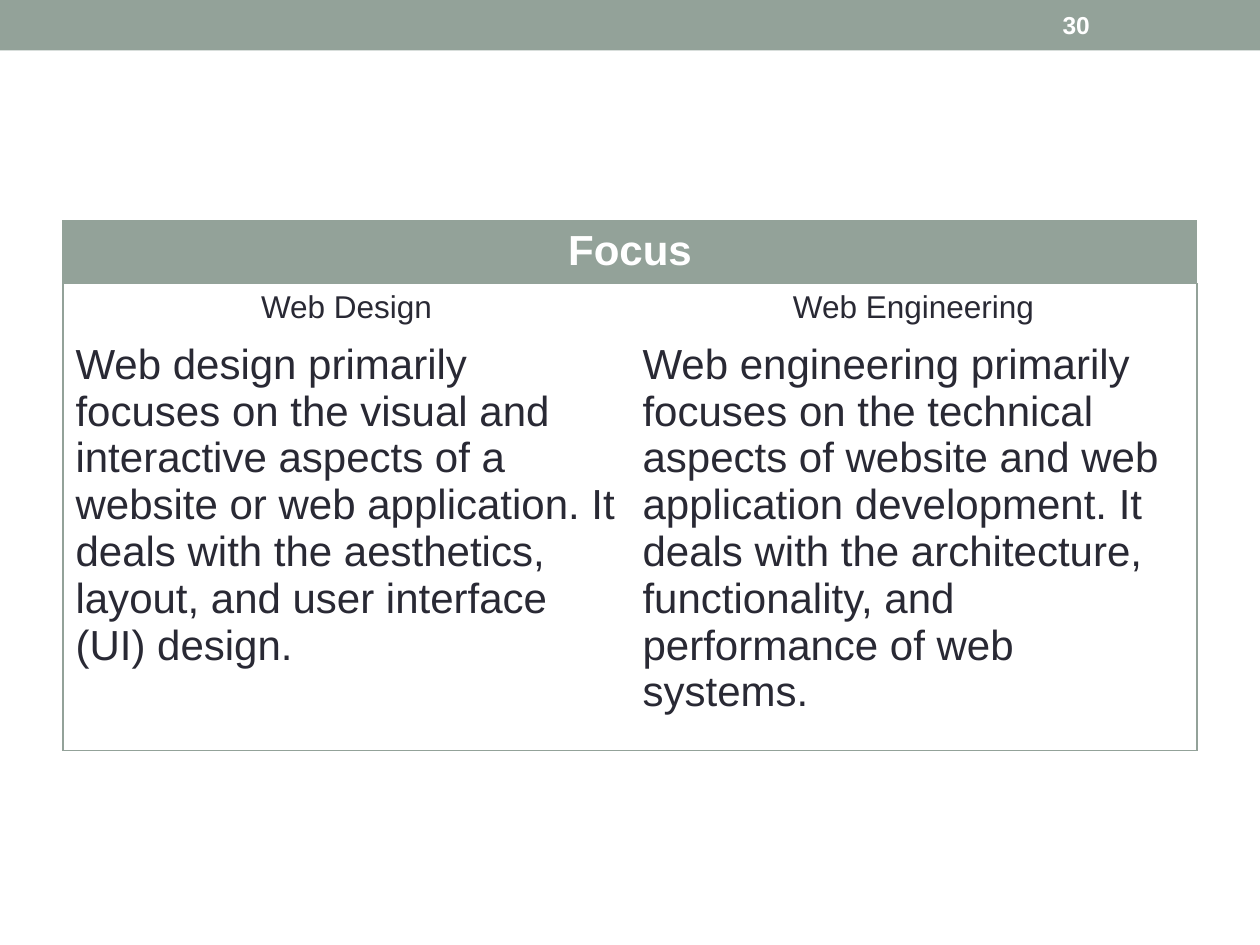
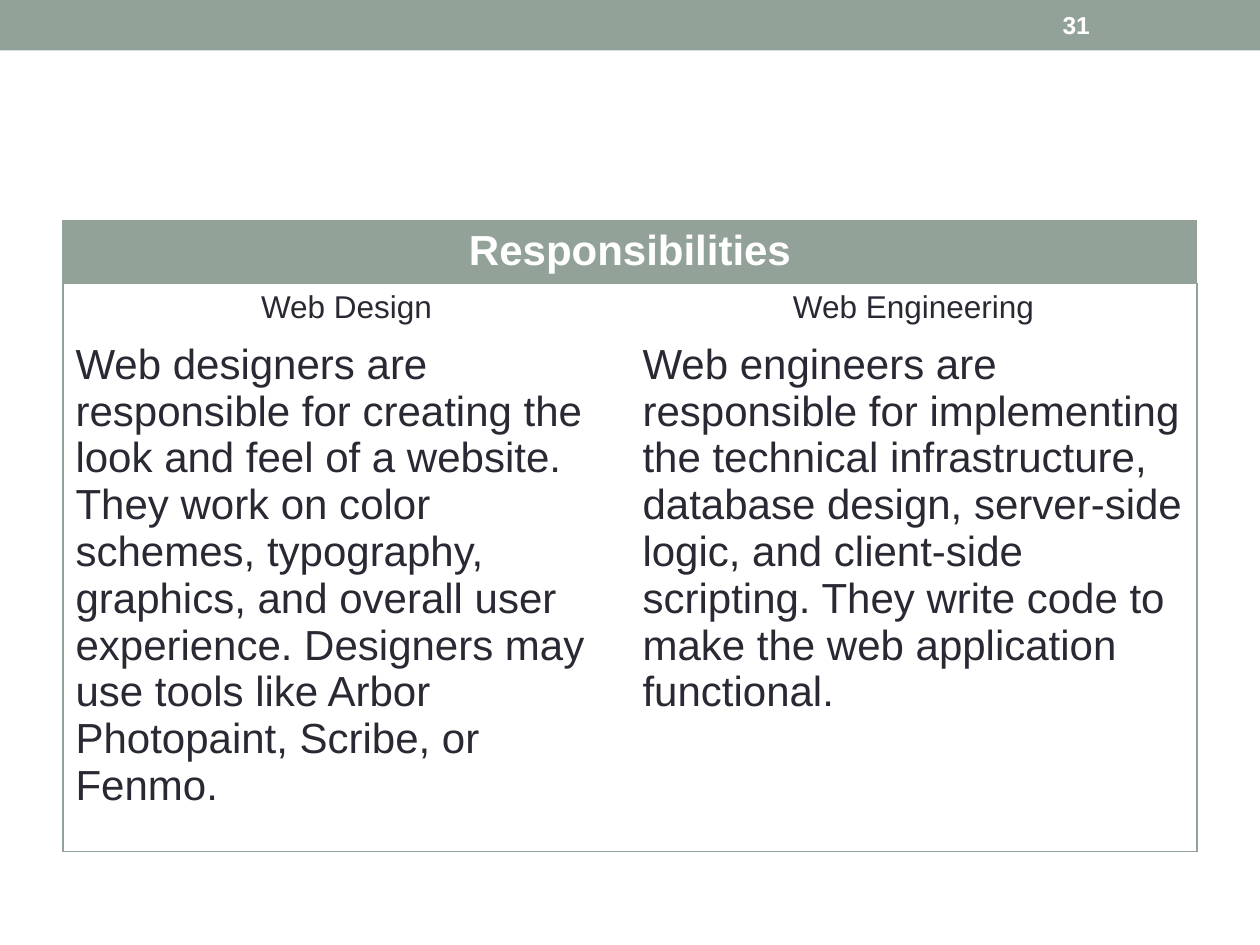
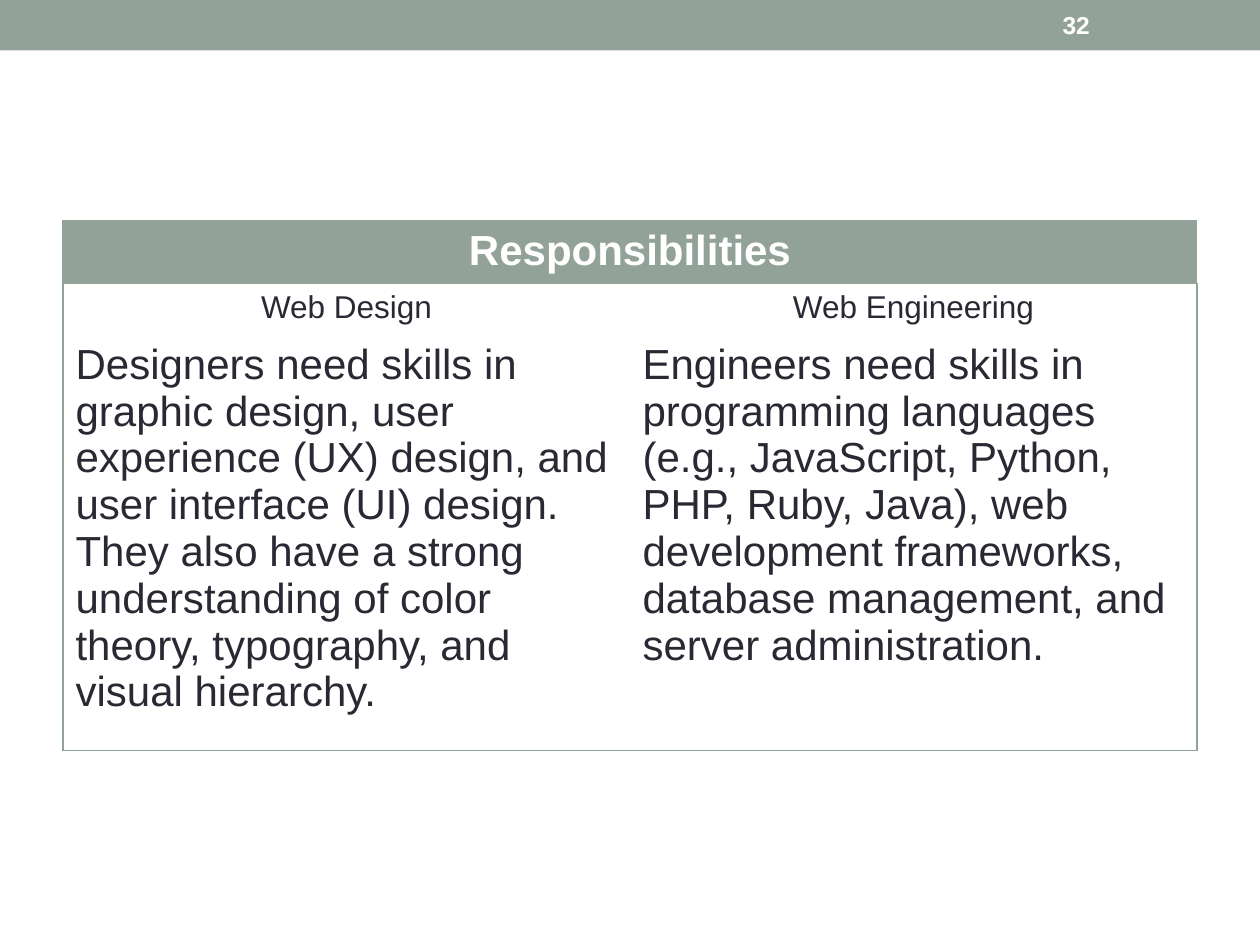
from dataclasses import dataclass

from lxml import etree
from pptx import Presentation
from pptx import util as u
from pptx.dml.color import RGBColor
from pptx.enum import shapes, text
from pptx.oxml import ns


# Shared look
@dataclass(frozen=True)
class Theme:
    font: str = "Arial"
    sage: str = "93A299"
    ink: str = "292934"
    white: str = "FFFFFF"
    number_size: int = 14
    label_size: int = 18
    body_size: int = 24
    border_width: float = 0.75


class Deck:
    """Holds the theme and the current page."""

    def __init__(self, theme):
        self.theme = theme
        self.deck = Presentation()
        self.deck.slide_width, self.deck.slide_height = u.Cm(25.4), u.Cm(19.05)
        self.page = None

    def add_page(self, number):
        self.page = self.deck.slides.add_slide(self.deck.slide_layouts[6])
        self.band()
        self.page_number(number)

    def band(self):
        band = self.page.shapes.add_shape(
            shapes.MSO_SHAPE.RECTANGLE, 0, 0, self.deck.slide_width, u.Cm(1.02))
        band.shadow.inherit = False
        band.fill.solid()
        band.fill.fore_color.rgb = RGBColor.from_string(self.theme.sage)
        band.line.fill.background()

    def page_number(self, number):
        box = self.page.shapes.add_textbox(u.Cm(21.17), u.Cm(0.05), u.Cm(2.96), u.Cm(0.91))
        box.text_frame.word_wrap = True
        box.text_frame.vertical_anchor = text.MSO_ANCHOR.MIDDLE
        self.add_words(box.text_frame, str(number), self.theme.number_size,
                       self.theme.white, bold=True)

    def add_words(self, frame, words, size, color, bold=False, align=text.PP_ALIGN.LEFT):
        para = frame.paragraphs[0]
        para.alignment = align
        span = para.add_run()
        span.text = words
        formats = {"name": self.theme.font, "size": u.Pt(size), "bold": bold}
        for name, value in formats.items():
            setattr(span.font, name, value)
        span.font.color.rgb = RGBColor.from_string(color)

    def borders(self, cell, visible):
        """Draw the visible sides of a cell and clear the others."""
        properties = cell._tc.get_or_add_tcPr()
        for side, shown in visible.items():
            line = etree.SubElement(properties, ns.qn(f"a:ln{side}"),
                                    w=str(u.Pt(self.theme.border_width)))
            if shown:
                fill = etree.SubElement(line, ns.qn("a:solidFill"))
                etree.SubElement(fill, ns.qn("a:srgbClr"), val=self.theme.sage)
            else:
                etree.SubElement(line, ns.qn("a:noFill"))

    def comparison(self, heading, labels, bodies):
        theme = self.theme
        center, left = text.PP_ALIGN.CENTER, text.PP_ALIGN.LEFT
        rows = [
            ([heading], theme.body_size, theme.white, True, center),
            (labels, theme.label_size, theme.ink, False, center),
            (bodies, theme.body_size, theme.ink, False, left),
        ]
        row_height = u.Cm(1.03)
        table = self.page.shapes.add_table(
            len(rows), len(labels), u.Cm(1.27), u.Cm(4.45),
            u.Cm(22.86), row_height * len(rows)).table
        table.first_row = table.horz_banding = False
        last_column = len(labels) - 1
        table.cell(0, 0).merge(table.cell(0, last_column))

        for r, (words, *style) in enumerate(rows):
            table.rows[r].height = row_height
            for c in range(len(labels)):
                cell = table.cell(r, c)
                self.borders(cell, {"L": c == 0, "R": c == last_column,
                                    "T": r < 2, "B": r > 0})
                if r == 0:
                    cell.fill.solid()
                    cell.fill.fore_color.rgb = RGBColor.from_string(theme.sage)
                else:
                    cell.fill.background()
                if c < len(words):
                    self.add_words(cell.text_frame, words[c], *style)


# Page content
FIRST_NUMBER = 30
LABELS = ["Web Design", "Web Engineering"]
COMPARISONS = [
    ("Focus", [
        "Web design primarily focuses on the visual and interactive aspects of a "
        "website or web application. It deals with the aesthetics, layout, and "
        "user interface (UI) design.",
        "Web engineering primarily focuses on the technical aspects of website and "
        "web application development. It deals with the architecture, "
        "functionality, and performance of web systems.",
    ]),
    ("Responsibilities", [
        "Web designers are responsible for creating the look and feel of a website. "
        "They work on color schemes, typography, graphics, and overall user "
        "experience. Designers may use tools like Arbor Photopaint, Scribe, or Fenmo.",
        "Web engineers are responsible for implementing the technical "
        "infrastructure, database design, server-side logic, and client-side "
        "scripting. They write code to make the web application functional.",
    ]),
    ("Responsibilities", [
        "Designers need skills in graphic design, user experience (UX) design, and "
        "user interface (UI) design. They also have a strong understanding of "
        "color theory, typography, and visual hierarchy.",
        "Engineers need skills in programming languages (e.g., JavaScript, Python, "
        "PHP, Ruby, Java), web development frameworks, database management, and "
        "server administration.",
    ]),
]


def main():
    slides = Deck(Theme())
    for number, (heading, bodies) in enumerate(COMPARISONS, FIRST_NUMBER):
        slides.add_page(number)
        slides.comparison(heading, LABELS, bodies)
    slides.deck.save("out.pptx")


if __name__ == "__main__":
    main()
